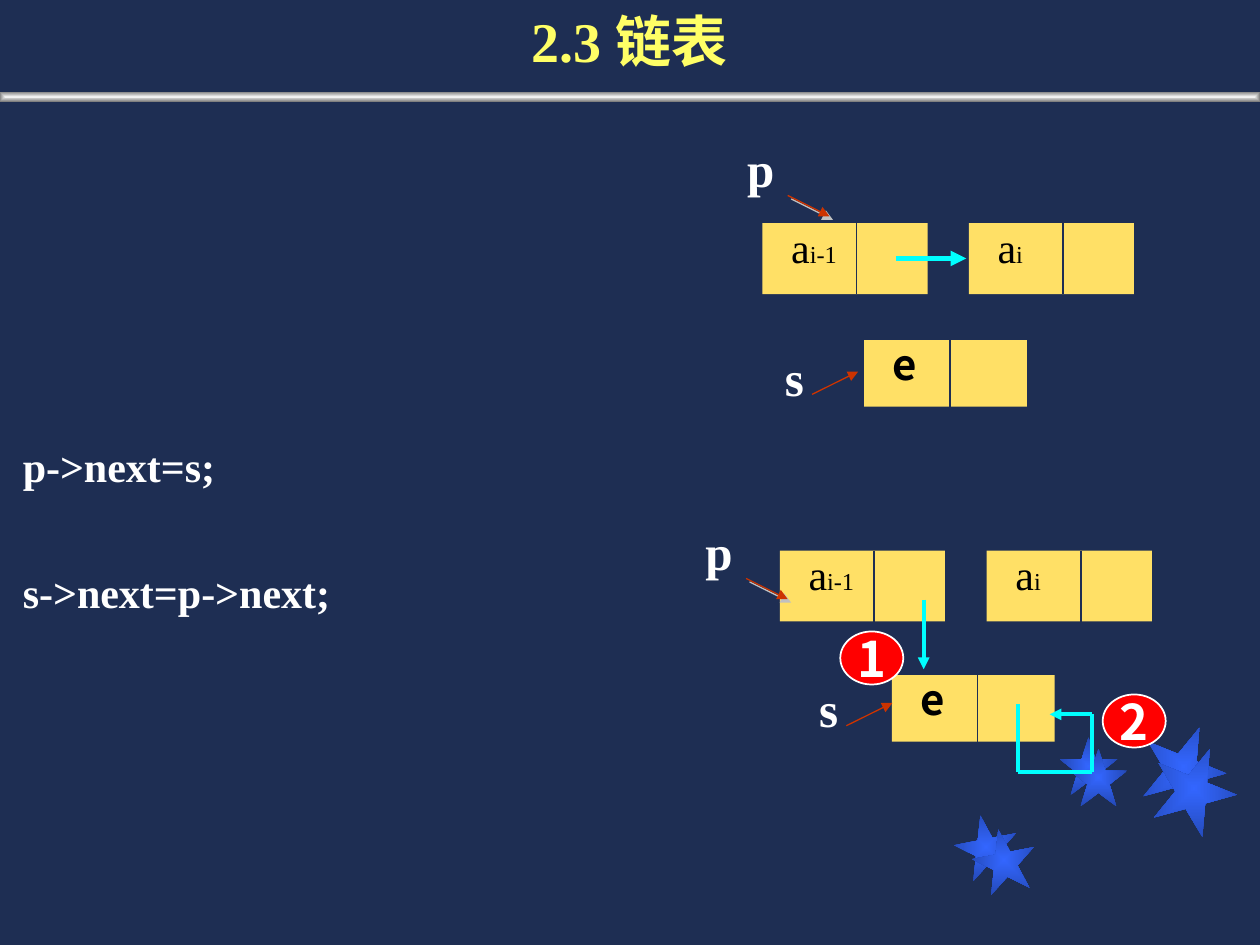
from dataclasses import dataclass
from itertools import pairwise

from lxml import etree
from pptx import Presentation
from pptx import util as u
from pptx.dml.color import RGBColor
from pptx.enum import shapes, text
from pptx.oxml import ns, parse_xml

SERIF, SANS = "Times New Roman", "Noto Sans CJK SC"
NAVY, WHITE, BLACK = "1E2E53", "FFFFFF", "000000"
SAND, CYAN, RUST, RED, YELLOW = "FFE066", "00FFFF", "CC3300", "FF0000", "FFFF66"

Point = tuple[float, float]


@dataclass
class Star:
    left: float
    top: float
    size: float
    turn: float = 0


@dataclass
class Run:
    words: str
    size: float
    font: str = SERIF
    colour: str = WHITE
    bold: bool = True
    baseline: int = 0


@dataclass
class Node:
    left: float
    top: float
    runs: list[Run]
    width: float = 3.33
    height: float = 1.43
    divider: float = 1.9


@dataclass
class Pointer:
    name: str
    left: float
    top: float


@dataclass
class Step:
    number: str
    left: float
    top: float


def rgb(colour: str) -> RGBColor:
    return RGBColor.from_string(colour)


def add_runs(frame, runs: list[Run], align=text.PP_ALIGN.LEFT) -> None:
    paragraph = frame.paragraphs[0]
    paragraph.alignment = align
    for item in runs:
        run = paragraph.add_run()
        run.text = item.words
        run.font.size = u.Pt(item.size)
        run.font.name = item.font
        run.font.bold = item.bold
        run.font.color.rgb = rgb(item.colour)
        properties = run.font._element
        etree.SubElement(properties, ns.qn("a:ea"), typeface=SANS)
        if item.baseline:
            properties.set("baseline", str(item.baseline))


def add_label(left: float, top: float, width: float, height: float,
              runs: list[Run], align=text.PP_ALIGN.LEFT, indent: float = 0.25):
    box = slide.shapes.add_textbox(u.Cm(left), u.Cm(top), u.Cm(width), u.Cm(height))
    box.text_frame.word_wrap = True
    box.text_frame.margin_left = u.Cm(indent)
    add_runs(box.text_frame, runs, align)
    return box


def add_figure(kind, left: float, top: float, width: float, height: float,
               fill: str | None = None):
    figure = slide.shapes.add_shape(kind, u.Cm(left), u.Cm(top), u.Cm(width), u.Cm(height))
    figure.shadow.inherit = False
    figure.line.fill.background()
    if fill:
        figure.fill.solid()
        figure.fill.fore_color.rgb = rgb(fill)
    return figure


def glow(figure, inner: str, outer: str) -> None:
    """Fill a figure from its centre to its edge."""
    gradient = parse_xml(
        f'<a:gradFill {ns.nsdecls("a")} rotWithShape="1"><a:gsLst>'
        f'<a:gs pos="0"><a:srgbClr val="{inner}"/></a:gs>'
        f'<a:gs pos="100000"><a:srgbClr val="{outer}"/></a:gs></a:gsLst>'
        '<a:path path="shape"><a:fillToRect l="50000" t="50000" r="50000" b="50000"/>'
        '</a:path></a:gradFill>')
    figure._element.spPr.find(ns.qn("a:prstGeom")).addnext(gradient)


def add_line(start: Point, end: Point, colour: str, width: float,
             arrow: bool = False, shadow: bool = False) -> None:
    line = slide.shapes.add_connector(
        shapes.MSO_CONNECTOR.STRAIGHT, *(u.Cm(value) for value in (*start, *end)))
    line.line.color.rgb = rgb(colour)
    line.line.width = u.Pt(width)
    if arrow:
        etree.SubElement(line.line._get_or_add_ln(), ns.qn("a:tailEnd"), type="triangle")
    effects = etree.SubElement(line._element.spPr, ns.qn("a:effectLst"))
    if shadow:
        cast = etree.SubElement(effects, ns.qn("a:outerShdw"),
                                dist=str(u.Cm(0.1)), dir="2700000")
        etree.SubElement(cast, ns.qn("a:srgbClr"), val="C0C0C0")


def add_node(node: Node) -> None:
    add_figure(shapes.MSO_SHAPE.RECTANGLE, node.left, node.top,
               node.width, node.height, SAND)
    middle = node.left + node.divider
    add_line((middle, node.top), (middle, node.top + node.height), NAVY, 0.75)
    add_label(node.left + 0.33, node.top - 0.16, 2.36, 1.3, node.runs)


def add_pointer(pointer: Pointer) -> None:
    downward = pointer.name == "p"
    dx, dy, run, rise = (1.07, 1.27, 0.84, 0.42) if downward else (0.85, 1.07, 0.93, -0.46)
    add_label(pointer.left, pointer.top, 0.99, 1.45,
              [Run(pointer.name, 28)], text.PP_ALIGN.CENTER)
    x, y = pointer.left + dx, pointer.top + dy
    add_line((x, y), (x + run, y + rise), RUST, 0.75, arrow=True, shadow=downward)


def add_step(step: Step) -> None:
    badge = add_figure(shapes.MSO_SHAPE.OVAL, step.left, step.top, 1.27, 1.07, RED)
    badge.line.color.rgb = rgb(WHITE)
    badge.line.width = u.Pt(1)
    badge.text_frame.word_wrap = False
    badge.text_frame.vertical_anchor = text.MSO_ANCHOR.MIDDLE
    add_runs(badge.text_frame, [Run(step.number, 28, SANS)], text.PP_ALIGN.CENTER)


def item(index: str) -> list[Run]:
    return [Run("a", 24, colour=BLACK, bold=False),
            Run(index, 24, colour=BLACK, bold=False, baseline=-25)]


def new_node(left: float, top: float) -> Node:
    return Node(left, top, [Run("e", 24, SANS, BLACK)], 3.28, 1.34, 1.73)


prs = Presentation()
prs.slide_width, prs.slide_height = u.Cm(25.4), u.Cm(19.05)
slide = prs.slides.add_slide(prs.slide_layouts[6])
slide.background.fill.solid()
slide.background.fill.fore_color.rgb = rgb(NAVY)

# Star decoration and title rule
for star in (Star(19.25, 16.43, 1.27, 349), Star(21.36, 14.86, 1.17),
             Star(23.01, 14.61, 1.7, 22), Star(19.61, 16.71, 1.27, 349),
             Star(21.56, 15.09, 1.17), Star(23.22, 15.04, 1.7, 22)):
    spark = add_figure(shapes.MSO_SHAPE.STAR_5_POINT, star.left, star.top, star.size, star.size)
    spark.rotation = star.turn
    glow(spark, "3366FF", "2449B6")
glow(add_figure(shapes.MSO_SHAPE.RECTANGLE, 0, 1.85, 25.4, 0.2), "F2F2F2", "808080")

# Title and statements
add_label(0, 0, 25.4, 1.9, [Run("2.3 链表", 32, colour=YELLOW)], text.PP_ALIGN.CENTER)
for statement, top in (("s->next=p->next;", 11.3), ("p->next=s;", 8.76)):
    add_label(0, top, 17.6, 1.6, [Run(statement, 24)], indent=0.46)

# List before (upper) and after (lower) the insertion
for node in (Node(15.37, 4.5, item("i-1")), Node(19.53, 4.5, item("i")),
             new_node(17.42, 6.86),
             Node(15.72, 11.1, item("i-1")), Node(19.89, 11.1, item("i")),
             new_node(17.98, 13.61)):
    add_node(node)
for pointer in (Pointer("p", 14.81, 2.67), Pointer("s", 15.52, 6.88),
                Pointer("p", 13.97, 10.39), Pointer("s", 16.21, 13.56)):
    add_pointer(pointer)

# Links between nodes; the last one loops back to its own node
add_line((18.06, 5.21), (19.48, 5.21), CYAN, 3, arrow=True)
add_line((18.62, 12.09), (18.62, 13.49), CYAN, 2.25, arrow=True)
loop = [(20.52, 14.2), (20.52, 15.57), (22.02, 15.57), (22.02, 14.4), (21.16, 14.4)]
for start, end in pairwise(loop):
    add_line(start, end, CYAN, 2.25, arrow=end == loop[-1])

# Order of the two statements
for step in (Step("1", 16.94, 12.73), Step("2", 22.23, 14)):
    add_step(step)

prs.save("out.pptx")
